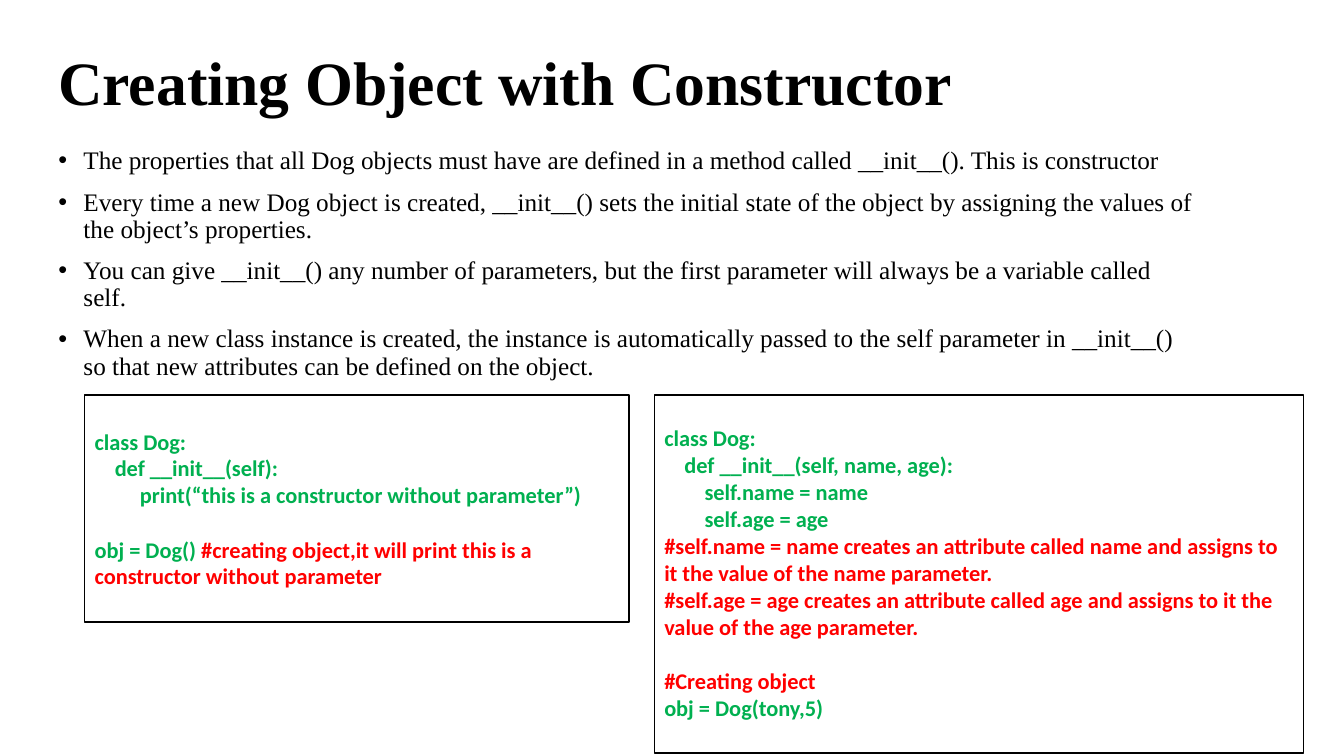
import pptx
import pptx.util
import pptx.dml.color
import pptx.enum.shapes
import pptx.enum.text
import pptx.oxml.ns
import lxml.etree

Inches = pptx.util.Inches
Pt = pptx.util.Pt
RGBColor = pptx.dml.color.RGBColor

BLACK = RGBColor(0x00, 0x00, 0x00)
WHITE = RGBColor(0xFF, 0xFF, 0xFF)
GREEN = RGBColor(0x00, 0xB0, 0x50)
RED = RGBColor(0xFF, 0x00, 0x00)

STEP = 0.2  # one code indent, in inches
GAP = 19.5  # height of one code line, in points

POINTS = [
    "The properties that all Dog objects must have are defined in a method "
    "called __init__(). This is constructor",
    "Every time a new Dog object is created, __init__() sets the initial state "
    "of the object by assigning the values of the object’s properties.",
    "You can give __init__() any number of parameters, but the first parameter "
    "will always be a variable called self.",
    "When a new class instance is created, the instance is automatically passed "
    "to the self parameter in __init__() so that new attributes can be defined "
    "on the object.",
]

# Each code line: indent steps, space before, then (text, colour) runs
PLAIN = [
    (0, 0, [("class Dog:", GREEN)]),
    (1, 0, [("def __init__(self):", GREEN)]),
    (2.25, 0, [("print(“this is a constructor without parameter”)", GREEN)]),
    (0, GAP, [("obj = Dog() ", GREEN),
              ("#creating object,it will print this is a constructor "
               "without parameter", RED)]),
]
PARAMS = [
    (0, 0, [("class Dog:", GREEN)]),
    (1, 0, [("def __init__(self, name, age):", GREEN)]),
    (2, 0, [("self.name = name", GREEN)]),
    (2, 0, [("self.age = age", GREEN)]),
    (0, 0, [("#self.name = name creates an attribute called name and assigns "
             "to it the value of the name parameter.", RED)]),
    (0, 0, [("#self.age = age creates an attribute called age and assigns "
             "to it the value of the age parameter.", RED)]),
    (0, GAP, [("#Creating object", RED)]),
    (0, 0, [("obj = Dog(tony,5)", GREEN)]),
]


def style(font, name, size, bold):
    font.name = name
    font.size = Pt(size)
    font.bold = bold


def indent(para, left, first=0):
    props = para._p.get_or_add_pPr()
    props.set("marL", str(Inches(left)))
    props.set("indent", str(Inches(first)))
    return props


def add_bullet(para):
    props = indent(para, 0.25, -0.25)
    font = lxml.etree.SubElement(props, pptx.oxml.ns.qn("a:buFont"))
    font.set("typeface", "Arial")
    mark = lxml.etree.SubElement(props, pptx.oxml.ns.qn("a:buChar"))
    mark.set("char", "•")


def add_text(slide, top, height, lines, size, bold=False, bullets=False):
    box = slide.shapes.add_textbox(
        Inches(0.48), Inches(top), Inches(11.5), Inches(height))
    frame = box.text_frame
    frame.word_wrap = True
    for i, line in enumerate(lines):
        para = frame.paragraphs[0] if i == 0 else frame.add_paragraph()
        para.text = line
        para.line_spacing = 0.9
        para.space_before = Pt(10 if i else 0)
        style(para.font, "Times New Roman", size, bold)
        para.font.color.rgb = BLACK
        if bullets:
            add_bullet(para)
    return frame


def add_code(slide, left, width, height, lines):
    box = slide.shapes.add_shape(
        pptx.enum.shapes.MSO_SHAPE.RECTANGLE,
        Inches(left), Inches(3.92), Inches(width), Inches(height))
    box.shadow.inherit = False
    box.fill.solid()
    box.fill.fore_color.rgb = WHITE
    box.line.color.rgb = BLACK
    box.line.width = Pt(1)
    frame = box.text_frame
    frame.word_wrap = True
    frame.vertical_anchor = pptx.enum.text.MSO_ANCHOR.MIDDLE
    for i, (steps, gap, runs) in enumerate(lines):
        para = frame.paragraphs[0] if i == 0 else frame.add_paragraph()
        para.alignment = pptx.enum.text.PP_ALIGN.LEFT
        para.space_before = Pt(gap)
        indent(para, steps * STEP)
        style(para.font, "Calibri", 16, True)
        for text, color in runs:
            run = para.add_run()
            run.text = text
            run.font.color.rgb = color
    return frame


def main():
    deck = pptx.Presentation()
    deck.slide_width = Inches(13.33)
    deck.slide_height = Inches(7.5)
    slide = deck.slides.add_slide(deck.slide_layouts[6])

    # Title and bullet points
    title = add_text(slide, 0.12, 1.45, ["Creating Object with Constructor"],
                     44, bold=True)
    title.vertical_anchor = pptx.enum.text.MSO_ANCHOR.MIDDLE
    add_text(slide, 1.42, 4.76, POINTS, 18, bullets=True)

    # Code boxes
    add_code(slide, 0.84, 5.4, 2.25, PLAIN)
    right = add_code(slide, 6.49, 6.44, 3.55, PARAMS)
    right.margin_bottom = Inches(0.08)

    deck.save("out.pptx")


if __name__ == "__main__":
    main()
